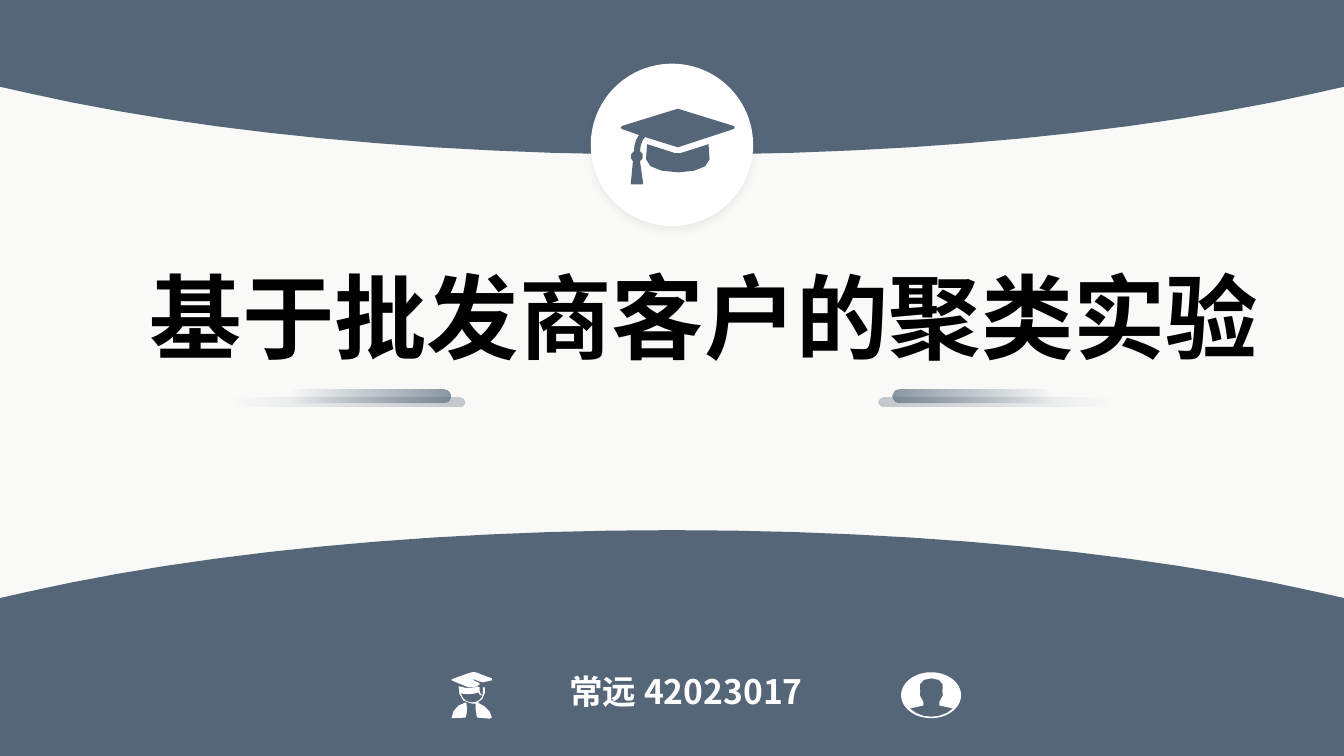
from lxml import etree
from pptx import Presentation
from pptx.dml.color import RGBColor
from pptx.enum.shapes import MSO_SHAPE
from pptx.enum.text import MSO_ANCHOR, PP_ALIGN
from pptx.oxml.ns import qn
from pptx.util import Pt

SLATE = RGBColor(0x55, 0x66, 0x79)
WHITE = RGBColor(0xFF, 0xFF, 0xFF)
BLACK = RGBColor(0, 0, 0)
PAPER = RGBColor(0xF9, 0xF9, 0xF8)
OVAL, PILL = MSO_SHAPE.OVAL, MSO_SHAPE.ROUNDED_RECTANGLE
LEFT, CENTER = PP_ALIGN.LEFT, PP_ALIGN.CENTER
TOP = MSO_ANCHOR.TOP
WIDTH, HEIGHT = 960, 540
ICON = 0.72  # points per icon unit

# Loops of steps: two numbers make a line, six a cubic curve.
CAP = (
    ((729, 127), (728, 128), (673, 146), (672, 146),
     (640, 136), (637, 139, 635, 145, 635, 150), (639, 152, 639, 158, 635, 160),
     (638, 181), (638, 183), (626, 183), (626, 181), (628, 160),
     (625, 158, 625, 152, 629, 150), (629, 143, 631, 138, 634, 134),
     (617, 128), (616, 127), (617, 125), (672, 108), (673, 108), (728, 125)),
    ((703, 143), (704, 158), (704, 166, 690, 171, 673, 171),
     (655, 171, 641, 166, 641, 158), (642, 143), (670, 152), (675, 152)),
)
STUDENT = (
    ((462, 697), (463, 698), (463, 702, 464, 707, 462, 712),
     (448, 712.5), (448, 706, 454, 698, 462, 697)),
    ((475, 687), (470, 689, 463, 689, 457, 688), (459, 692, 461, 697, 468, 697),
     (474, 697, 477, 694, 479, 690), (476, 690, 475, 689, 475, 687)),
    ((456, 681), (462, 683, 469, 684, 474, 681), (476, 682),
     (476, 686), (476, 687, 478, 691, 479, 689), (479, 682),
     (481, 682), (482, 687, 480, 695, 474, 697),
     (481, 700, 488, 706, 488, 712), (486, 713), (474, 712),
     (473, 711), (473, 707, 471, 703, 472, 698),
     (468, 698), (457, 698, 455, 688, 455, 681)),
    ((468, 667), (471, 666, 475, 668, 477, 669), (488, 673),
     (488, 675), (479, 677), (475, 677, 472, 673, 468, 674),
     (476, 678), (476, 679), (473, 681, 469, 683, 465, 682),
     (448, 675), (448, 674), (459, 670)),
)
BUST = ((924, 673), (915, 673, 910.5, 678, 913, 686), (911, 690, 915, 693, 916, 696),
        (916, 700), (912, 701, 906, 702, 903, 703), (908, 708, 916, 711, 924, 711))


def bend(start, step, count):
    """Return points along a cubic curve."""
    points = (start, step[:2], step[2:4], step[4:])
    curve = []
    for i in range(1, count + 1):
        t = i / count
        parts = ((1 - t) ** 3, 3 * t * (1 - t) ** 2, 3 * t * t * (1 - t), t ** 3)
        curve.append(tuple(sum(w * p[k] for w, p in zip(parts, points)) for k in (0, 1)))
    return curve


def trace(loop, count=3):
    points = [loop[0]]
    for step in loop[1:]:
        points += [step] if len(step) == 2 else bend(points[-1], step, count)
    return points


def mirror(loop, axis, count):
    """Trace a half outline and add its reflection."""
    half = trace(loop, count)
    return half + [(2 * axis - x, y) for x, y in reversed(half[:-1])]


def paint(shape, color):
    shape.shadow.inherit = False
    shape.fill.solid()
    shape.fill.fore_color.rgb = color
    shape.line.fill.background()


def draw(slide, loops, color, unit=1):
    build = None
    for loop in loops:
        first, *rest = [(Pt(x * unit), Pt(y * unit)) for x, y in loop]
        if build is None:
            build = slide.shapes.build_freeform(*first)
        else:
            build.move_to(*first)
        build.add_line_segments(rest, close=True)
    paint(build.convert_to_shape(), color)


def band(slide, edge, tip, side):
    """Draw a full-width band whose inner edge bows to tip."""
    half = ((480, edge), (0, edge), (0, tip + side * 48.5), (20, tip + side * 44),
            (141.5, tip + side * 16.5, 303.5, tip, 480, tip))
    draw(slide, [mirror(half, 480, 12)], SLATE)


def add(slide, kind, x, y, w, h):
    return slide.shapes.add_shape(kind, Pt(x), Pt(y), Pt(w), Pt(h))


def disc(slide, x, y, w, h):
    shape = add(slide, OVAL, x, y, w, h)
    paint(shape, WHITE)
    return shape


def shade(shape):
    """Give a shape a faint shadow straight below."""
    effects = shape._element.spPr.find(qn("a:effectLst"))
    cast = etree.SubElement(effects, qn("a:outerShdw"), blurRad=str(Pt(6)),
                            dist=str(Pt(3)), dir="5400000", algn="t", rotWithShape="0")
    color = etree.SubElement(cast, qn("a:srgbClr"), val=str(BLACK))
    etree.SubElement(color, qn("a:alpha"), val="6000")


def streak(slide, x, y, w, h, alpha, angle):
    """Draw a pill that fades out along the angle."""
    shape = add(slide, PILL, x, y, w, h)
    paint(shape, SLATE)
    shape.adjustments[0] = 0.5
    shape.fill.gradient()
    shape.fill.gradient_angle = angle
    for stop in shape.fill.gradient_stops:
        stop.color.rgb = SLATE
    colors = shape._element.spPr.iter(qn("a:srgbClr"))
    for color, share in zip(list(colors), (alpha, 0)):
        etree.SubElement(color, qn("a:alpha"), val=str(share * 1000))


def write(shape, box, text, size, face, color, align, wrap):
    shape.left, shape.top, shape.width, shape.height = (Pt(n) for n in box)
    frame = shape.text_frame
    frame.word_wrap = wrap
    frame.vertical_anchor = TOP
    frame.text = text
    para = frame.paragraphs[0]
    para.alignment = align
    font = para.font
    font.size, font.bold, font.name = Pt(size), True, face
    font.color.rgb = color
    style = para._p.pPr.find(qn("a:defRPr"))
    etree.SubElement(style, qn("a:ea"), typeface=face)


def main():
    deck = Presentation()
    deck.slide_width, deck.slide_height = Pt(WIDTH), Pt(HEIGHT)
    slide = deck.slides.add_slide(deck.slide_layouts[5])
    slide.background.fill.solid()
    slide.background.fill.fore_color.rgb = PAPER

    band(slide, HEIGHT, 378.7, 1)
    band(slide, 0, 110.5, -1)
    author = slide.shapes.add_textbox(0, 0, 0, 0)
    write(author, (399.6, 476, 373, 36), "常远 42023017", 24,
          "Noto Sans CJK JP", WHITE, LEFT, True)
    disc(slide, 643.7, 480.2, 42.8, 32.8)
    draw(slide, [mirror(BUST, 924, 3)], SLATE, ICON)
    draw(slide, [trace(loop) for loop in STUDENT], WHITE, ICON)
    shade(disc(slide, 422, 45.5, 116, 116))
    draw(slide, [trace(loop) for loop in CAP], SLATE, ICON)

    title = slide.shapes.title
    write(title, (95.8, 182, 814.3, 87), "基于批发商客户的聚类实验", 66,
          "Noto Sans CJK SC", BLACK, CENTER, False)
    for x, far, angle in ((206.6, 164.2, 180), (637.2, 627.8, 0)):
        streak(slide, x, 278.3, 115.5, 9, 67, angle)
        streak(slide, far, 283.7, 167.5, 6.5, 34, angle)
    deck.save("out.pptx")


if __name__ == "__main__":
    main()
